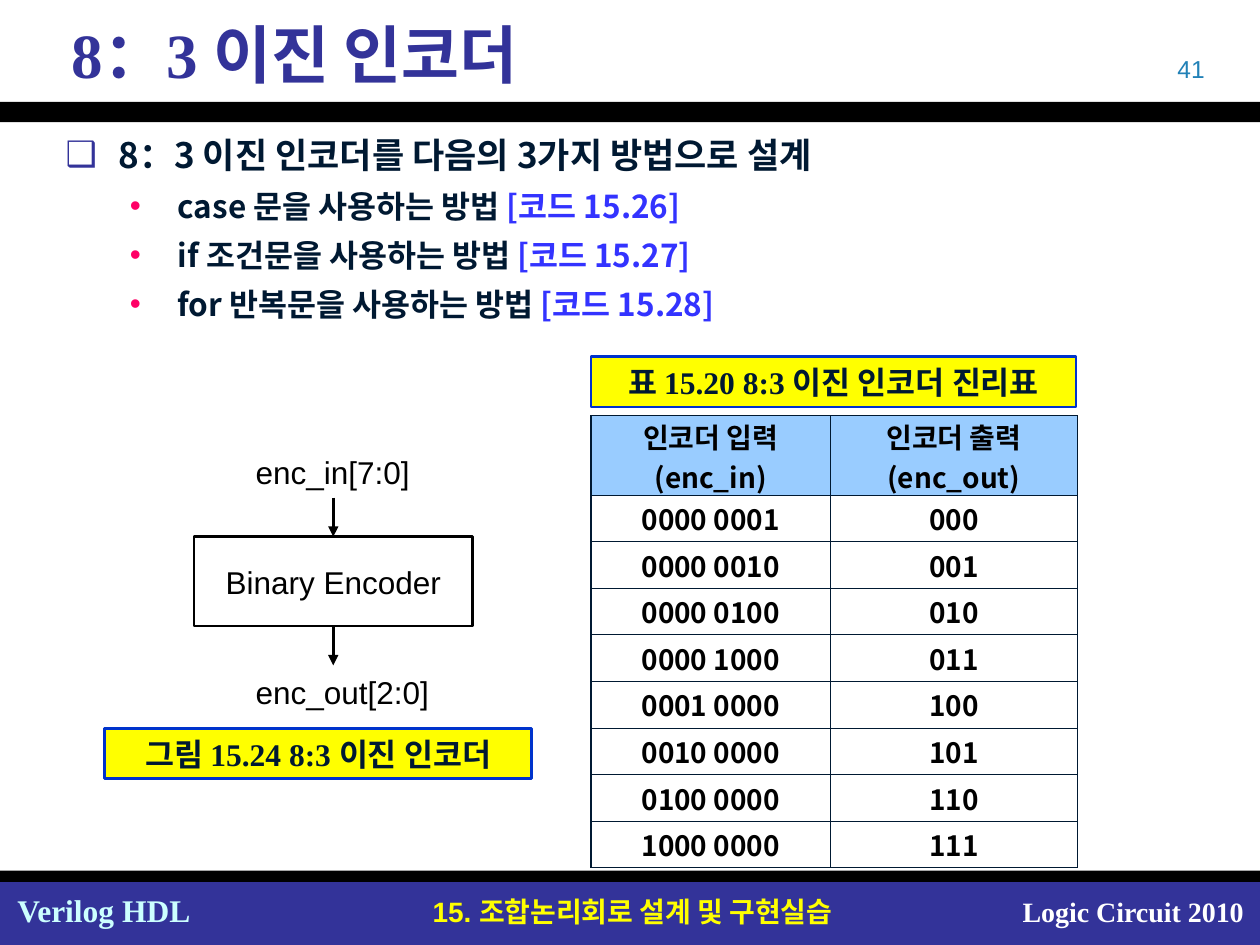
from lxml import etree
from pptx import Presentation
from pptx.dml.color import RGBColor
from pptx.enum import shapes, text
from pptx.oxml import ns
from pptx.util import Inches, Pt

COLORS = {
    "indigo": "333399", "black": "000000", "white": "FFFFFF", "navy": "001932",
    "code": "3333FF", "bullet": "FF0066", "yellow": "FFFF00", "frame": "0033CC",
    "header": "99CCFF", "number": "2181B7", "mint": "CCFFFF",
}
SERIF, SANS, KOREAN = "Times New Roman", "Arial", "Noto Sans CJK KR"
LEFT, CENTER, RIGHT = text.PP_ALIGN.LEFT, text.PP_ALIGN.CENTER, text.PP_ALIGN.RIGHT

TITLE = "8：3 이진 인코더"
HEADING = "8：3 이진 인코더를 다음의 3가지 방법으로 설계"
METHODS = [
    ("case 문을 사용하는 방법 ", "[코드 15.26]"),
    ("if 조건문을 사용하는 방법 ", "[코드 15.27]"),
    ("for 반복문을 사용하는 방법 ", "[코드 15.28]"),
]
TABLE_HEADER = ("인코더 입력(enc_in)", "인코더 출력(enc_out)")
OUTPUT_BITS = 3
BANDS = [  # top, height, colour
    (7, 0.5, "indigo"), (0.81, 0.16, "black"), (6.91, 0.09, "black"),
]
LABELS = [  # text, box, alignment, font format
    ("15. 조합논리회로 설계 및 구현실습", (3.07, 7.05, 3.9, 0.37), CENTER,
     dict(name=SANS, size=16, color="yellow", bold=True)),
    ("Logic Circuit 2010", (7.88, 7.05, 2.09, 0.37), RIGHT,
     dict(name=SERIF, size=16, color="white", bold=True)),
    ("Verilog HDL", (0.04, 7.02, 1.58, 0.4), LEFT,
     dict(name=SERIF, size=18, color="mint", bold=True)),
    ("41", (7.33, 0.38, 2.33, 0.33), RIGHT,
     dict(name=SANS, size=14, color="number")),
    ("enc_in[7:0]", (1.93, 3.55, 1.7, 0.4), LEFT,
     dict(name=SANS, size=18, color="black")),
    ("enc_out[2:0]", (1.93, 5.29, 1.7, 0.4), LEFT,
     dict(name=SANS, size=18, color="black")),
]
CAPTIONS = [
    ("그림 15.24 8:3 이진 인코더", (0.83, 5.78, 3.39, 0.4)),
    ("표 15.20 8:3 이진 인코더 진리표", (4.69, 2.83, 3.85, 0.4)),
]
ENCODER_BOX = (1.54, 4.26, 2.21, 0.71)
ARROW_LENGTH = 0.31


def rgb(color):
    return RGBColor.from_string(COLORS[color])


def inches(box):
    return [Inches(length) for length in box]


def add_run(paragraph, words, name, size, color, bold=False):
    """Add a run whose Korean letters use the Korean font."""
    run = paragraph.add_run()
    run.text = words
    for attribute, value in dict(name=name, size=Pt(size), bold=bold).items():
        setattr(run.font, attribute, value)
    run.font.color.rgb = rgb(color)
    east_asian = etree.SubElement(run._r.get_or_add_rPr(), ns.qn("a:ea"))
    east_asian.set("typeface", KOREAN)


def add_rectangle(slide, box, fill=None, line=None):
    rectangle = slide.shapes.add_shape(shapes.MSO_SHAPE.RECTANGLE, *inches(box))
    rectangle.shadow.inherit = False
    if fill:
        rectangle.fill.solid()
        rectangle.fill.fore_color.rgb = rgb(fill)
    else:
        rectangle.fill.background()
    if line:
        rectangle.line.color.rgb = rgb(line)
        rectangle.line.width = Pt(1.5)
    else:
        rectangle.line.fill.background()
    return rectangle


def write_centered(frame, words, **font):
    frame.vertical_anchor = text.MSO_ANCHOR.MIDDLE
    frame.paragraphs[0].alignment = CENTER
    add_run(frame.paragraphs[0], words, **font)


def add_arrow(slide, x, top, bottom):
    arrow = slide.shapes.add_connector(
        shapes.MSO_CONNECTOR.STRAIGHT, *inches((x, top, x, bottom)))
    arrow.line.color.rgb = rgb("black")
    arrow.line.width = Pt(1.5)
    properties = arrow._element.spPr
    etree.SubElement(properties.find(ns.qn("a:ln")), ns.qn("a:tailEnd"), type="triangle")
    etree.SubElement(properties, ns.qn("a:effectLst"))
    return arrow


def set_bullet(paragraph, mark, color, left, hanging):
    properties = paragraph._p.get_or_add_pPr()
    properties.set("marL", str(Inches(left)))
    properties.set("indent", str(-Inches(hanging)))
    bullet_color = etree.SubElement(properties, ns.qn("a:buClr"))
    etree.SubElement(bullet_color, ns.qn("a:srgbClr"), val=COLORS[color])
    etree.SubElement(properties, ns.qn("a:buChar"), char=mark)
    paragraph.line_spacing = 1.3
    paragraph.space_before = Pt(0)


def place(placeholder, box):
    placeholder.left, placeholder.top, placeholder.width, placeholder.height = inches(box)


def fill_placeholders(slide):
    title, body = slide.placeholders
    place(title, (0.17, 0.1, 9.67, 0.65))
    title.text_frame.vertical_anchor = text.MSO_ANCHOR.MIDDLE
    heading = title.text_frame.paragraphs[0]
    heading.alignment = LEFT
    heading._p.get_or_add_pPr().set("marL", str(Inches(0.3)))
    add_run(heading, TITLE, SERIF, 36, "indigo", True)

    place(body, (0.42, 0.91, 9.25, 1.85))
    body.text_frame.auto_size = text.MSO_AUTO_SIZE.TEXT_TO_FIT_SHAPE
    lead = body.text_frame.paragraphs[0]
    set_bullet(lead, "❑", "indigo", 0.42, 0.42)
    add_run(lead, HEADING, KOREAN, 20, "navy", True)
    for method, code in METHODS:
        item = body.text_frame.add_paragraph()
        item.level = 1
        set_bullet(item, "•", "bullet", 0.89, 0.38)
        add_run(item, method, KOREAN, 18, "navy", True)
        add_run(item, code, KOREAN, 18, "code", True)


def add_border(cell):
    properties = cell._tc.get_or_add_tcPr()
    for position, side in enumerate(("lnL", "lnR", "lnT", "lnB")):
        edge = etree.Element(ns.qn(f"a:{side}"), w=str(Pt(0.75)))
        fill = etree.SubElement(edge, ns.qn("a:solidFill"))
        etree.SubElement(fill, ns.qn("a:srgbClr"), val=COLORS["navy"])
        properties.insert(position, edge)


def add_truth_table(slide):
    input_bits = 2 ** OUTPUT_BITS
    rows = [TABLE_HEADER]
    for value in range(input_bits):
        one_hot = f"{1 << value:0{input_bits}b}"
        rows.append((f"{one_hot[:4]} {one_hot[4:]}", f"{value:0{OUTPUT_BITS}b}"))
    table = slide.shapes.add_table(
        len(rows), 2, *inches((4.69, 3.3, 3.86, 3.57))).table
    table.horz_banding = False
    for column, width in zip(table.columns, (1.9, 1.96)):
        column.width = Inches(width)
    for index, values in enumerate(rows):
        table.rows[index].height = Inches(0.37 if index else 0.63)
        for cell, value in zip(table.rows[index].cells, values):
            if index:
                cell.fill.background()
            else:
                cell.fill.solid()
                cell.fill.fore_color.rgb = rgb("header")
            add_border(cell)
            cell.margin_top = cell.margin_bottom = Inches(0.02 if index else 0)
            cell.vertical_anchor = text.MSO_ANCHOR.MIDDLE
            paragraph = cell.text_frame.paragraphs[0]
            paragraph.alignment = CENTER
            add_run(paragraph, value, KOREAN, 16, "black", True)


def add_encoder(slide):
    left, top, width, height = ENCODER_BOX
    encoder = add_rectangle(slide, ENCODER_BOX, line="black")
    encoder.text_frame.word_wrap = False
    write_centered(encoder.text_frame, "Binary Encoder",
                   name=SANS, size=18, color="black")
    middle, bottom = left + width / 2, top + height
    add_arrow(slide, middle, top - ARROW_LENGTH, top).end_connect(encoder, 0)
    add_arrow(slide, middle, bottom, bottom + ARROW_LENGTH).begin_connect(encoder, 2)


def main():
    deck = Presentation()
    deck.slide_width, deck.slide_height = inches((10, 7.5))
    slide = deck.slides.add_slide(deck.slide_layouts[1])
    fill_placeholders(slide)
    for top, height, color in BANDS:
        add_rectangle(slide, (0, top, 10, height), fill=color)
    for words, box, alignment, font in LABELS:
        frame = slide.shapes.add_textbox(*inches(box)).text_frame
        frame.word_wrap = True
        frame.paragraphs[0].alignment = alignment
        add_run(frame.paragraphs[0], words, **font)
    add_encoder(slide)
    add_truth_table(slide)
    for words, box in CAPTIONS:
        caption = add_rectangle(slide, box, "yellow", "frame")
        write_centered(caption.text_frame, words,
                       name=SERIF, size=18, color="navy", bold=True)
    deck.save("out.pptx")


if __name__ == "__main__":
    main()
